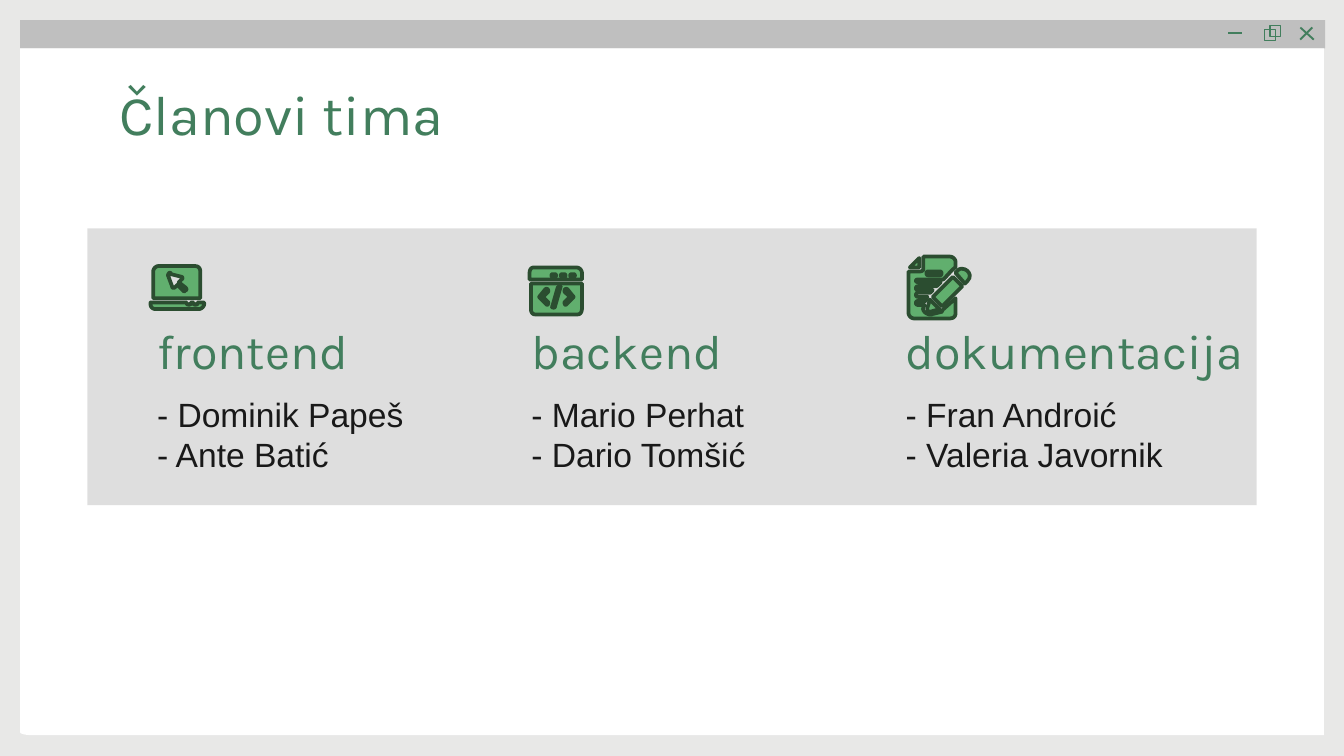
from lxml import etree
from pptx import Presentation
from pptx.dml.color import RGBColor
from pptx.enum.shapes import MSO_SHAPE
from pptx.enum.text import MSO_ANCHOR
from pptx.oxml.ns import qn
from pptx.util import Inches, Pt

RECTANGLE = MSO_SHAPE.RECTANGLE
TOP, BOTTOM = MSO_ANCHOR.TOP, MSO_ANCHOR.BOTTOM

BACKGROUND, WHITE, GREY = "E8E8E7", "FFFFFF", "BFBFBF"
GREEN, INK = "427E5D", "191919"
ICON_FILL, ICON_LINE = "61AF6E", "2B4D30"

TITLE = "Članovi tima"
TEAMS = [
    ("frontend", 2.29, ["- Dominik Papeš", "- Ante Batić"]),
    ("backend", 2.29, ["- Mario Perhat", "- Dario Tomšić"]),
    ("dokumentacija", 2.79, ["- Fran Androić", "- Valeria Javornik"]),
]
FIRST_COLUMN, LAST_COLUMN = 1.07, 6.64


def pill(left, top, width, height=0.02):
    """Contour of a horizontal bar with round ends."""
    right, bottom, r = left + width, top + height, height / 2
    return [(left + r, top), (right - r, top),
            (right, top, right, bottom, right - r, bottom), (left + r, bottom),
            (left, bottom, left, top, left + r, top)]


# A contour is a list of points; six numbers are a Bezier curve to the last pair.
PAGE = [(0.15, 0.36), (0.15, 5.45), (0.15, 5.46, 0.19, 5.47, 0.23, 5.47),
        (9.85, 5.47), (9.85, 0.36)]
CLOSE_STROKES = [
    [(9.76, 0.2), (9.67, 0.29), (9.68, 0.3), (9.77, 0.21)],
    [(9.68, 0.2), (9.67, 0.21), (9.77, 0.3), (9.78, 0.29)],
]
MINIMIZE_STROKE = [(9.14, 0.24), (9.14, 0.25), (9.24, 0.25), (9.24, 0.24)]

LAPTOP_BASE = [
    (1.13, 2.25), (1.12, 2.25, 1.12, 2.25, 1.12, 2.26), (1.12, 2.28, 1.13, 2.3, 1.16, 2.3),
    (1.48, 2.3), (1.5, 2.3, 1.52, 2.28, 1.52, 2.26), (1.52, 2.25, 1.51, 2.25, 1.51, 2.25),
    (1.47, 2.25), (1.47, 2.26), (1.47, 2.27, 1.44, 2.27, 1.44, 2.26), (1.44, 2.25),
    (1.42, 2.25), (1.42, 2.26), (1.42, 2.27, 1.39, 2.27, 1.39, 2.26), (1.39, 2.25)]
LAPTOP_SCREEN = [
    (1.18, 1.98), (1.16, 1.98, 1.14, 2, 1.14, 2.02), (1.14, 2.22), (1.49, 2.22),
    (1.49, 2.02), (1.49, 2, 1.48, 1.98, 1.45, 1.98)]
CURSOR = [
    (1.26, 2.03), (1.27, 2.03, 1.27, 2.03, 1.27, 2.04), (1.35, 2.06),
    (1.36, 2.06, 1.36, 2.08, 1.35, 2.08), (1.33, 2.1), (1.38, 2.14),
    (1.39, 2.15, 1.39, 2.16, 1.38, 2.16), (1.38, 2.16, 1.37, 2.17, 1.37, 2.17),
    (1.36, 2.16), (1.32, 2.12), (1.3, 2.14), (1.3, 2.14, 1.28, 2.15, 1.28, 2.13),
    (1.25, 2.05), (1.25, 2.04, 1.26, 2.03, 1.26, 2.03)]

WINDOW_BAR = [
    (3.97, 1.99), (3.95, 1.99, 3.94, 2.01, 3.94, 2.03), (3.94, 2.08), (4.33, 2.08),
    (4.33, 2.03), (4.33, 2.01, 4.31, 1.99, 4.29, 1.99)]
WINDOW_BUTTONS = [pill(4.1 + 0.07 * i, 2.04, 0.04) for i in range(3)]
WINDOW_BODY = [
    (3.95, 2.11), (3.95, 2.3), (3.95, 2.32, 3.96, 2.34, 3.98, 2.34), (4.3, 2.34),
    (4.32, 2.34, 4.33, 2.32, 4.33, 2.3), (4.33, 2.11)]
LEFT_BRACKET = [
    (4.07, 2.15), (4.08, 2.15, 4.08, 2.17, 4.08, 2.17), (4.04, 2.21), (4.08, 2.25),
    (4.08, 2.25, 4.08, 2.27, 4.07, 2.27), (4.07, 2.27, 4.07, 2.27, 4.06, 2.26),
    (4.02, 2.22), (4.01, 2.21, 4.01, 2.21, 4.02, 2.2), (4.06, 2.15)]
BRACKET_CENTER = 4.14
RIGHT_BRACKET = [tuple(2 * BRACKET_CENTER - v if i % 2 == 0 else v for i, v in enumerate(point))
                 for point in LEFT_BRACKET]
SLASH = [
    (4.16, 2.13), (4.16, 2.13, 4.18, 2.13, 4.17, 2.14), (4.13, 2.28),
    (4.13, 2.29, 4.12, 2.29, 4.12, 2.29), (4.12, 2.29, 4.1, 2.29, 4.11, 2.28), (4.15, 2.14)]

SHEET = [
    (6.87, 1.91), (6.87, 2.01), (6.87, 2.01, 6.86, 2.02, 6.85, 2.02), (6.76, 2.02),
    (6.76, 2.33), (6.76, 2.35, 6.78, 2.37, 6.8, 2.37), (7.07, 2.37),
    (7.09, 2.37, 7.11, 2.36, 7.11, 2.33), (7.11, 2.22), (7.01, 2.31), (7.01, 2.32),
    (6.93, 2.34), (6.92, 2.34), (6.89, 2.34, 6.86, 2.31, 6.87, 2.29), (6.88, 2.27),
    (6.83, 2.27), (6.81, 2.27, 6.81, 2.24, 6.83, 2.24), (6.89, 2.24), (6.9, 2.21),
    (6.83, 2.21), (6.81, 2.21, 6.81, 2.18, 6.83, 2.18), (6.92, 2.18), (6.94, 2.16),
    (6.83, 2.16), (6.81, 2.16, 6.81, 2.13, 6.83, 2.13), (6.97, 2.13), (7, 2.1),
    (6.83, 2.1), (6.81, 2.1, 6.81, 2.08, 6.83, 2.08), (7.02, 2.08),
    (7.03, 2.07, 7.1, 1.99, 7.11, 1.99), (7.11, 1.95), (7.11, 1.93, 7.09, 1.91, 7.07, 1.91)]
PENCIL_TIP = [(6.92, 2.23), (6.9, 2.29), (6.9, 2.31, 6.9, 2.32, 6.92, 2.32), (6.99, 2.3)]
PENCIL_END = [(7.16, 2), (7.15, 2, 7.14, 2, 7.13, 2.01), (7.11, 2.03), (7.18, 2.11),
              (7.2, 2.09), (7.24, 2.05, 7.2, 2, 7.16, 2)]
PENCIL_BODY = [(7.09, 2.06), (6.94, 2.21), (7.01, 2.28), (7.16, 2.13)]
PAGE_FOLD = [(6.84, 1.92), (6.77, 1.99), (6.84, 1.99)]

ICON_PARTS = [
    [LAPTOP_BASE], [CURSOR, LAPTOP_SCREEN],
    [*WINDOW_BUTTONS, WINDOW_BAR], [LEFT_BRACKET, RIGHT_BRACKET, SLASH, WINDOW_BODY],
    [pill(6.89, 2.02, 0.12, 0.03), SHEET], [PENCIL_TIP], [PENCIL_END], [PENCIL_BODY], [PAGE_FOLD],
]


def color(value):
    return RGBColor.from_string(value)


def paint(shape, fill=None, line=None, width=0.75):
    shape.shadow.inherit = False
    if fill:
        shape.fill.solid()
        shape.fill.fore_color.rgb = color(fill)
    else:
        shape.fill.background()
    if line:
        shape.line.color.rgb = color(line)
        shape.line.width = Pt(width)
    else:
        shape.line.fill.background()
    return shape


def add_rectangle(slide, left, top, width, height, **style):
    frame = map(Inches, (left, top, width, height))
    return paint(slide.shapes.add_shape(RECTANGLE, *frame), **style)


def flatten(contour, steps=6):
    """Turn the curves of a contour into short straight steps, in EMU."""
    points = []
    for item in contour:
        if len(item) == 2:
            points.append(item)
            continue
        ends = [points[-1], item[:2], item[2:4], item[4:]]
        for t in (i / steps for i in range(1, steps + 1)):
            weights = ((1 - t) ** 3, 3 * t * (1 - t) ** 2, 3 * t * t * (1 - t), t ** 3)
            points.append(tuple(sum(w * end[axis] for w, end in zip(weights, ends))
                                for axis in (0, 1)))
    return [(Inches(x), Inches(y)) for x, y in points]


def add_outline(slide, contours, **style):
    first, *others = map(flatten, contours)
    builder = slide.shapes.build_freeform(*first[0])
    builder.add_line_segments(first[1:])
    for points in others:
        builder.move_to(*points[0])
        builder.add_line_segments(points[1:])
    return paint(builder.convert_to_shape(), **style)


def add_text(slide, frame, lines, font, size, ink, anchor=TOP):
    box = slide.shapes.add_textbox(*map(Inches, frame)).text_frame
    box.word_wrap = True
    box.vertical_anchor = anchor
    box.margin_left = box.margin_right = box.margin_top = box.margin_bottom = Inches(0.1)
    box.text = "\n".join(lines)
    for para in box.paragraphs:
        para.font.name, para.font.size = font, Pt(size)
        para.font.color.rgb = color(ink)


deck = Presentation()
deck.slide_width = Inches(10)
deck.slide_height = deck.slide_width * 9 // 16
slide = deck.slides.add_slide(deck.slide_layouts[6])
slide.background.fill.solid()
slide.background.fill.fore_color.rgb = color(BACKGROUND)

add_rectangle(slide, 0.15, 0.15, 9.71, 0.21, fill=GREY)
for stroke in [*CLOSE_STROKES, MINIMIZE_STROKE]:
    add_outline(slide, [stroke], fill=GREEN)
for left, top in [(9.41, 0.22), (9.45, 0.19)]:
    add_rectangle(slide, left, top, 0.08, 0.08, line=GREEN)
add_outline(slide, [PAGE], fill=WHITE)

panel = add_rectangle(slide, 0.65, 1.7, 8.7, 2.06, fill=GREY)
panel_color = panel.element.spPr.find(qn("a:solidFill"))[0]
etree.SubElement(panel_color, qn("a:alpha"), val="50000")

add_text(slide, (0.79, 0.49, 8.43, 0.63), [TITLE], "Karla", 30, GREEN)
column_step = (LAST_COLUMN - FIRST_COLUMN) / (len(TEAMS) - 1)
for column, (team, width, members) in enumerate(TEAMS):
    left = FIRST_COLUMN + column * column_step
    add_text(slide, (left, 2.83, 2.29, 1.55), members, "Arial", 18, INK)
    add_text(slide, (left, 2.43, width, 0.49), [team], "Karla", 26, GREEN, anchor=BOTTOM)

for contours in ICON_PARTS:
    part = add_outline(slide, contours, fill=ICON_FILL, line=ICON_LINE, width=2)
    etree.SubElement(part.element.spPr.find(qn("a:ln")), qn("a:round"))

deck.save("out.pptx")
